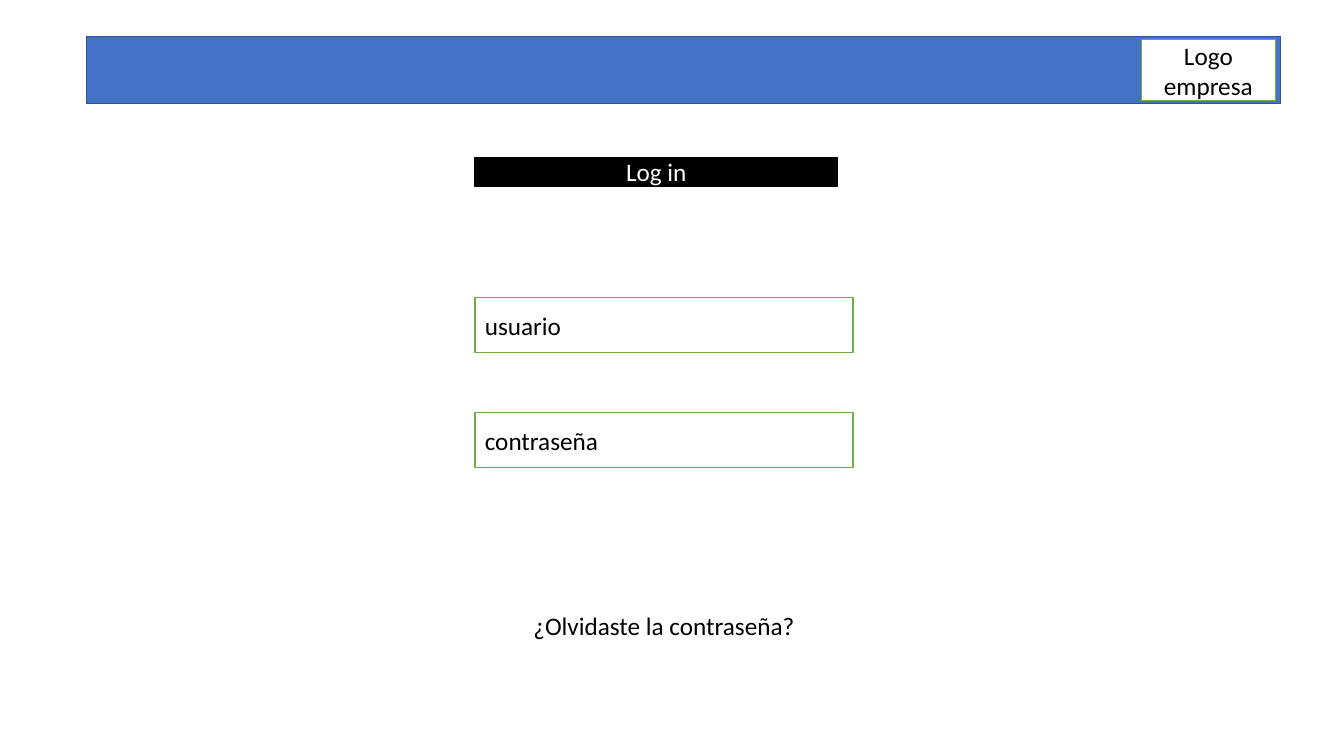
from pptx import Presentation
from pptx.dml.color import RGBColor
from pptx.enum import shapes, text
from pptx.util import Inches, Pt

COLORS = {
    "white": "FFFFFF",
    "black": "000000",
    "blue": "4472C4",
    "dark_blue": "325491",
    "green": "70AD47",
}
FORM_LEFT, FORM_WIDTH = 4.71, 3.75
CENTER, LEFT = text.PP_ALIGN.CENTER, text.PP_ALIGN.LEFT


def write(shape, words, align, color="black"):
    """Put one 18 pt Calibri line of text in a shape."""
    shape.text_frame.word_wrap = True
    paragraph = shape.text_frame.paragraphs[0]
    paragraph.alignment = align
    run = paragraph.add_run()
    run.text = words
    run.font.name = "Calibri"
    run.font.size = Pt(18)
    run.font.color.rgb = RGBColor.from_string(COLORS[color])


def add_box(slide, left, top, width, height, fill, line):
    """Add a flat, outlined rectangle with middle-anchored text."""
    box = slide.shapes.add_shape(
        shapes.MSO_SHAPE.RECTANGLE,
        Inches(left), Inches(top), Inches(width), Inches(height))
    box.shadow.inherit = False
    box.fill.solid()
    box.fill.fore_color.rgb = RGBColor.from_string(COLORS[fill])
    box.line.color.rgb = RGBColor.from_string(COLORS[line])
    box.line.width = Pt(1)
    box.text_frame.vertical_anchor = text.MSO_ANCHOR.MIDDLE
    return box


presentation = Presentation()
presentation.slide_width = Inches(13.33)
presentation.slide_height = Inches(7.5)
slide = presentation.slides.add_slide(presentation.slide_layouts[6])

# Header bar with the logo space
add_box(slide, 0.86, 0.36, 11.84, 0.67, "blue", "dark_blue")
logo_space = add_box(slide, 11.32, 0.39, 1.33, 0.61, "white", "green")
write(logo_space, "Logo empresa", CENTER)

# Login form
heading = add_box(slide, FORM_LEFT, 1.56, 3.6, 0.29, "black", "black")
write(heading, "Log in", CENTER, "white")

for row, label in enumerate(["usuario", "contraseña"]):
    field = add_box(slide, FORM_LEFT, 2.95 + row * 1.14, FORM_WIDTH, 0.55,
                    "white", "green")
    write(field, label, LEFT)

# Password reminder
reminder = slide.shapes.add_textbox(
    Inches(FORM_LEFT), Inches(6.01), Inches(FORM_WIDTH), Inches(0.4))
reminder.text_frame.auto_size = text.MSO_AUTO_SIZE.SHAPE_TO_FIT_TEXT
write(reminder, "¿Olvidaste la contraseña?", CENTER)

presentation.save("out.pptx")
